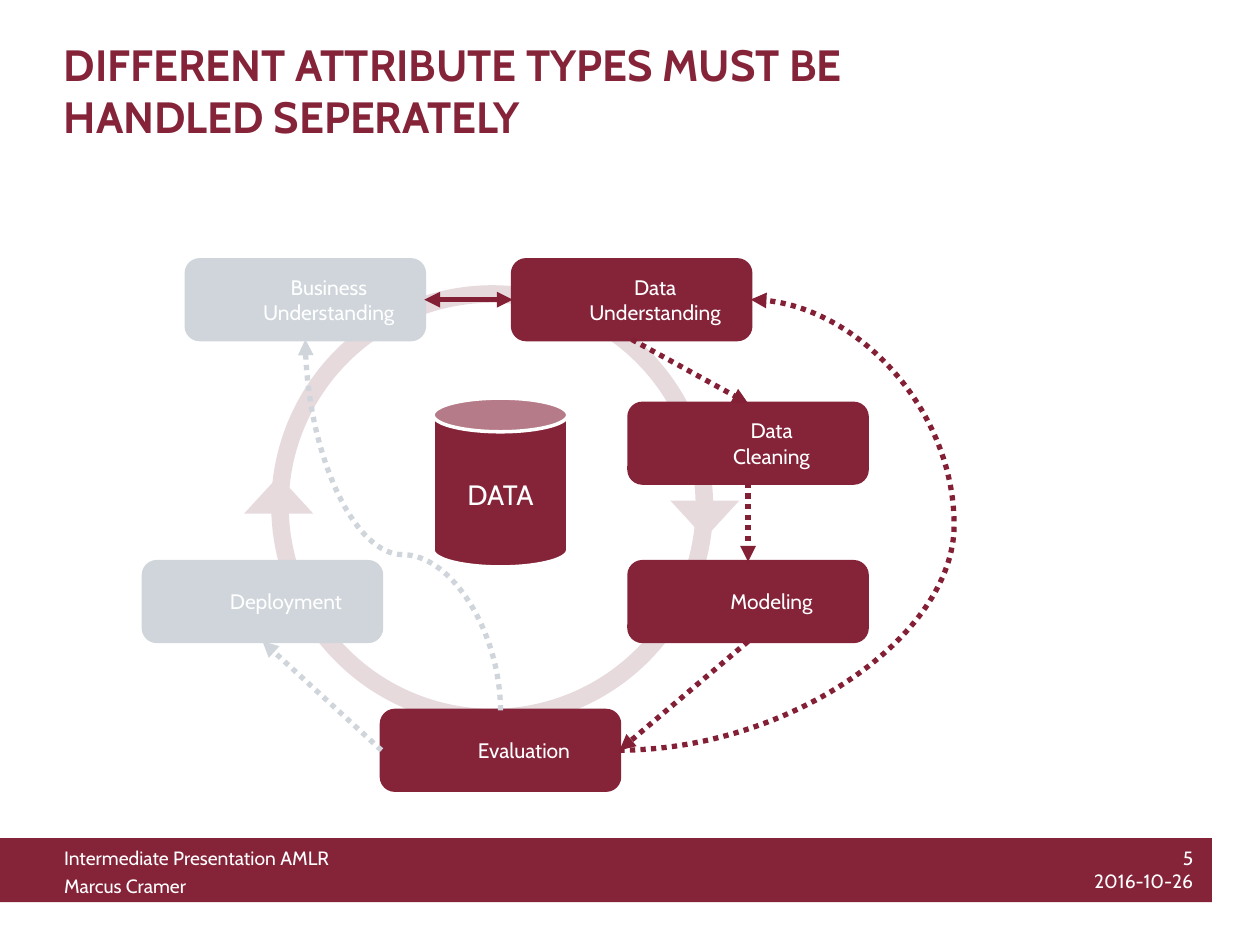
from copy import deepcopy
from lxml import etree
from pptx import Presentation
from pptx.dml.color import RGBColor
from pptx.enum.dml import MSO_LINE
from pptx.enum.shapes import MSO_CONNECTOR, MSO_SHAPE
from pptx.enum.text import MSO_ANCHOR, PP_ALIGN
from pptx.oxml.ns import qn
from pptx.util import Pt

STRAIGHT, CURVE = MSO_CONNECTOR.STRAIGHT, MSO_CONNECTOR.CURVE
LEFT, CENTER, RIGHT = PP_ALIGN.LEFT, PP_ALIGN.CENTER, PP_ALIGN.RIGHT
MIDDLE = MSO_ANCHOR.MIDDLE
DOTTED = MSO_LINE.ROUND_DOT
RECTANGLE, ROUNDED = MSO_SHAPE.RECTANGLE, MSO_SHAPE.ROUNDED_RECTANGLE
OVAL, CAN, TRIANGLE = MSO_SHAPE.OVAL, MSO_SHAPE.CAN, MSO_SHAPE.ISOSCELES_TRIANGLE

WINE = RGBColor(0x85, 0x23, 0x39)
ARROW_WINE = RGBColor(0x84, 0x20, 0x36)
GREY = RGBColor(0xCF, 0xD5, 0xDA)
ROSE = RGBColor(0xE6, 0xDA, 0xDD)
WHITE = RGBColor(0xFF, 0xFF, 0xFF)
FONT = "Cabin"

TITLE = "DIFFERENT ATTRIBUTE TYPES MUST BE HANDLED SEPERATELY"
FOOTER = "Intermediate Presentation AMLR\nMarcus Cramer"
PAGE_AND_DATE = "5\v2016-10-26"

NODE_WIDTH, NODE_HEIGHT = 136, 45.5
NODES = {
    "business": ("Business Understanding", 106.5, 148.5, GREY),
    "data": ("Data\vUnderstanding", 293, 148.5, WINE),
    "cleaning": ("Data\vCleaning", 359.5, 230.5, WINE),
    "modeling": ("Modeling", 359.5, 321, WINE),
    "evaluation": ("Evaluation", 218, 406, WINE),
    "deployment": ("Deployment", 82, 321, GREY),
}
SIDES = {"top": (0, 0.5, 0), "left": (1, 0, 0.5), "bottom": (2, 0.5, 1), "right": (3, 1, 0.5)}
ARROWS = [
    ("business", "right", "data", "left", ARROW_WINE, True),
    ("data", "bottom", "cleaning", "top", ARROW_WINE, False),
    ("cleaning", "bottom", "modeling", "top", ARROW_WINE, False),
    ("modeling", "bottom", "evaluation", "right", ARROW_WINE, False),
    ("evaluation", "left", "deployment", "bottom", GREY, False),
]


def write(shape, text, size, color, align=LEFT, bold=False, space_after=0):
    frame = shape.text_frame
    frame.word_wrap = True
    frame.text = text
    for para in frame.paragraphs:
        para.alignment = align
        para.space_after = Pt(space_after)
        for span in para.runs:
            span.font.name = FONT
            span.font.size = Pt(size)
            span.font.bold = bold
            span.font.color.rgb = color
        for line_break in para._p.findall(qn("a:br")):
            line_break.append(deepcopy(para.runs[0]._r.rPr))


def add_text(page, area, *style):
    write(page.shapes.add_textbox(*map(Pt, area)), *style)


def add_shape(page, kind, area, fill=None, line=None, width=0):
    shape = page.shapes.add_shape(kind, *map(Pt, area))
    shape.shadow.inherit = False
    if fill is None:
        shape.fill.background()
    else:
        shape.fill.solid()
        shape.fill.fore_color.rgb = fill
    if line is None:
        shape.line.fill.background()
    else:
        shape.line.color.rgb = line
        shape.line.width = Pt(width)
    return shape


def set_insets(frame, left, top, right, bottom):
    frame.vertical_anchor = MIDDLE
    frame.margin_left, frame.margin_top = Pt(left), Pt(top)
    frame.margin_right, frame.margin_bottom = Pt(right), Pt(bottom)


def add_node(page, text, left, top, color):
    node = add_shape(page, ROUNDED, (left, top, NODE_WIDTH, NODE_HEIGHT), color, color, 2)
    set_insets(node.text_frame, 34, 3.6, 7.2, 3.6)
    write(node, text, 12, WHITE, CENTER)
    return node


def side_point(name, side):
    _, left, top, _ = NODES[name]
    _, across, down = SIDES[side]
    return left + NODE_WIDTH * across, top + NODE_HEIGHT * down


def add_arrow(page, kind, start, end, color, both=False):
    arrow = page.shapes.add_connector(kind, *map(Pt, start + end))
    arrow.line.color.rgb = color
    arrow.line.width = Pt(3)
    if not both:
        arrow.line.dash_style = DOTTED
    line = arrow.line._get_or_add_ln()
    for tag in ("a:headEnd", "a:tailEnd") if both else ("a:tailEnd",):
        etree.SubElement(line, qn(tag), type="triangle")
    etree.SubElement(arrow._element.spPr, qn("a:effectLst"))
    return arrow


def bend(arrow, amount, turn=0):
    properties = arrow._element.spPr
    guides = properties.find(qn("a:prstGeom")).find(qn("a:avLst"))
    etree.SubElement(guides, qn("a:gd"), name="adj1", fmla=f"val {round(amount * 100000)}")
    if turn:
        properties.find(qn("a:xfrm")).set("rot", str(turn * 60000))


def main():
    deck = Presentation()
    deck.slide_width, deck.slide_height = Pt(720), Pt(540)
    page = deck.slides.add_slide(deck.slide_layouts[6])

    add_shape(page, RECTANGLE, (0, 479, 692.5, 36.5), WINE)
    add_text(page, (29.5, 480, 325, 36.5), FOOTER, 11, WHITE, LEFT, False, 3)
    add_text(page, (592.5, 480, 96.5, 34), PAGE_AND_DATE, 11, WHITE, RIGHT, False, 3)

    add_shape(page, OVAL, (160, 168, 242.5, 242), None, ROSE, 10)
    nodes = {name: add_node(page, *details) for name, details in NODES.items()}

    for source, source_side, target, target_side, color, both in ARROWS:
        start, end = side_point(source, source_side), side_point(target, target_side)
        arrow = add_arrow(page, STRAIGHT, start, end, color, both)
        arrow.begin_connect(nodes[source], SIDES[source_side][0])
        arrow.end_connect(nodes[target], SIDES[target_side][0])

    start, end = side_point("evaluation", "top"), side_point("business", "bottom")
    middle_x, middle_y = (start[0] + end[0]) / 2, (start[1] + end[1]) / 2
    half_rise, half_run = (start[1] - end[1]) / 2, (start[0] - end[0]) / 2
    turned_start = (middle_x - half_rise, middle_y + half_run)
    turned_end = (middle_x + half_rise, middle_y - half_run)
    bend(add_arrow(page, CURVE, turned_start, turned_end, GREY), 0.42, 270)

    can = add_shape(page, CAN, (247.5, 227.5, 77, 96.5), WINE, WHITE, 2)
    set_insets(can.text_frame, 7.2, 7.2, 7.2, 3)
    write(can, "DATA", 16, WHITE, CENTER)

    add_shape(page, TRIANGLE, (383, 286, 39.5, 21.5), ROSE).rotation = 180
    add_shape(page, TRIANGLE, (139.5, 272, 39.5, 21.5), ROSE)

    add_text(page, (29.5, 18, 512, 38), TITLE, 25, WINE, LEFT, True)

    start, end = side_point("evaluation", "right"), side_point("data", "right")
    bend(add_arrow(page, CURVE, start, end, ARROW_WINE), 2.55)

    deck.save("out.pptx")


if __name__ == "__main__":
    main()
